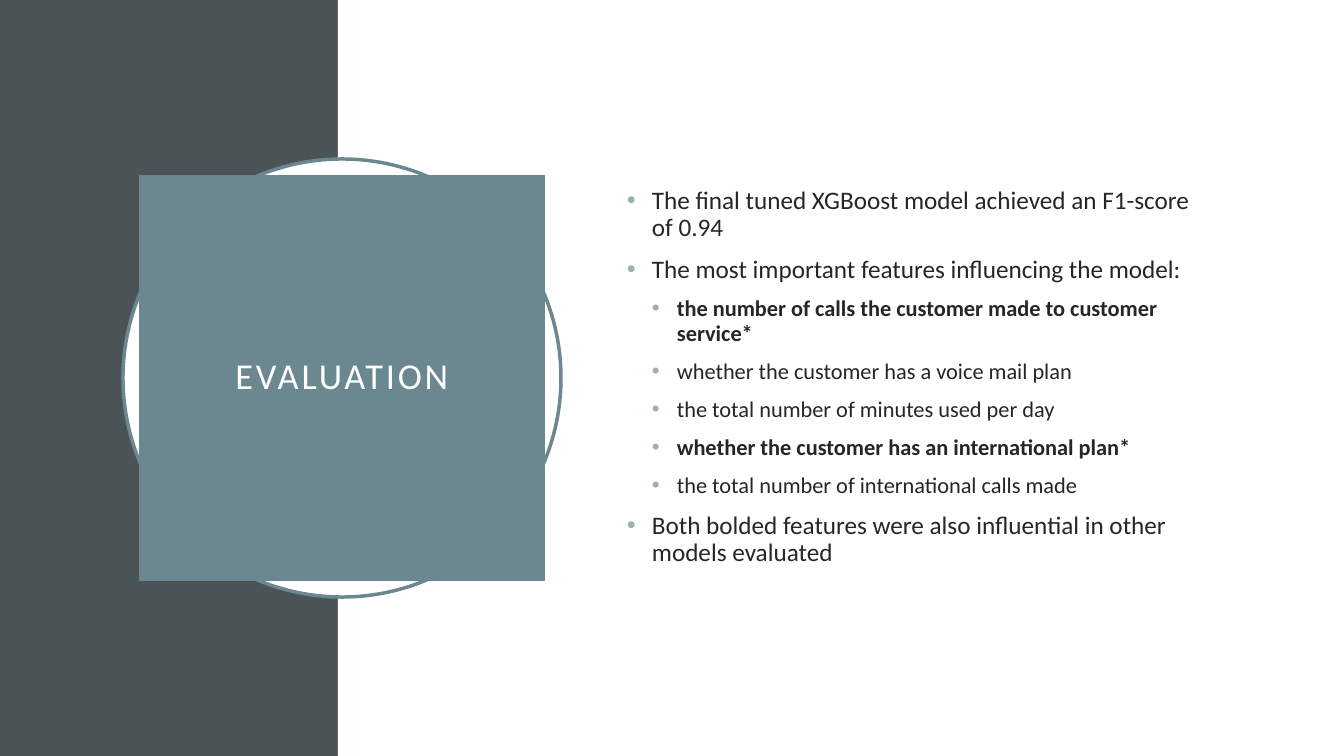
from pptx import Presentation
from pptx.dml.color import RGBColor
from pptx.enum.shapes import MSO_SHAPE as Shape
from pptx.enum.text import MSO_ANCHOR as Anchor, MSO_AUTO_SIZE as Fit, PP_ALIGN as Align
from pptx.oxml import parse_xml
from pptx.oxml.ns import nsdecls
from pptx.util import Emu, Pt

TITLE = "EVALUATION"
POINTS = [
    (0, False, "The final tuned XGBoost model achieved an F1-score of 0.94"),
    (0, False, "The most important features influencing the model:"),
    (1, True, "the number of calls the customer made to customer service*"),
    (1, False, "whether the customer has a voice mail plan"),
    (1, False, "the total number of minutes used per day"),
    (1, True, "whether the customer has an international plan*"),
    (1, False, "the total number of international calls made"),
    (0, False, "Both bolded features were also influential in other models evaluated"),
]
FONT = "Calibri"
DARK, TEAL, WHITE, INK, DOT = "4A5356", "6B8891", "FFFFFF", "262626", "9BAFB5"
WIDE, HIGH, SPLIT = 1344, 756, 338
MID_X, MID_Y, RING, TILE = 342, 378, 438, 406
INDENT, INSET = 25, 20
SIZES = [18, 16]


def px(n):
    return Emu(round(n * 914400 / 100.8))


def color(code):
    return RGBColor.from_string(code)


def center(size):
    return MID_X - size // 2, MID_Y - size // 2, size, size


def place(item, box):
    item.left, item.top, item.width, item.height = map(px, box)


def paint(item, code):
    item.fill.solid()
    item.fill.fore_color.rgb = color(code)


def draw(slide, kind, box, fill, line=None):
    item = slide.shapes.add_shape(kind, *map(px, box))
    item.shadow.inherit = False
    paint(item, fill)
    if line:
        item.line.color.rgb = color(line)
        item.line.width = Pt(2.5)
    else:
        item.line.fill.background()


def write(para, text, size, code, bold=False):
    para.line_spacing = 0.9
    run = para.add_run()
    run.text = text
    font = run.font
    font.name, font.size, font.bold = FONT, Pt(size), bold
    font.color.rgb = color(code)
    return run


def bullet(para, level):
    para.level = level
    para.space_before = Pt(10)
    props = para._p.get_or_add_pPr()
    props.set("marL", str(px(INDENT * (level + 1))))
    props.set("indent", str(-px(INDENT)))
    for tag in (
        f'<a:buClr {nsdecls("a")}><a:srgbClr val="{DOT}"/></a:buClr>',
        f'<a:buFont {nsdecls("a")} typeface="Arial"/>',
        f'<a:buChar {nsdecls("a")} char="•"/>',
    ):
        props.append(parse_xml(tag))


def head(slide):
    title = slide.shapes.title
    place(title, center(TILE))
    paint(title, TEAL)
    frame = title.text_frame
    frame.word_wrap, frame.auto_size = True, Fit.NONE
    frame.vertical_anchor = Anchor.MIDDLE
    frame.margin_left = frame.margin_right = px(INSET)
    frame.margin_top = frame.margin_bottom = px(INSET)
    para = frame.paragraphs[0]
    para.alignment = Align.CENTER
    run = write(para, TITLE, 26, WHITE)
    run.font._element.set("spc", "200")
    title.element.getparent().append(title.element)


def body(slide):
    box = slide.shapes.add_textbox(*map(px, (617, 154, 587, 447)))
    frame = box.text_frame
    frame.word_wrap = True
    frame.vertical_anchor = Anchor.MIDDLE
    for i, (level, bold, text) in enumerate(POINTS):
        para = frame.add_paragraph() if i else frame.paragraphs[0]
        write(para, text, SIZES[level], INK, bold)
        bullet(para, level)


def main():
    """Build the evaluation slide."""
    deck = Presentation()
    deck.slide_width, deck.slide_height = px(WIDE), px(HIGH)
    slide = deck.slides.add_slide(deck.slide_layouts[5])
    draw(slide, Shape.RECTANGLE, (0, 0, SPLIT, HIGH), DARK)
    draw(slide, Shape.RECTANGLE, (SPLIT, 0, WIDE - SPLIT, HIGH), WHITE)
    draw(slide, Shape.OVAL, center(RING), WHITE, TEAL)
    head(slide)
    body(slide)
    deck.save("out.pptx")


if __name__ == "__main__":
    main()
